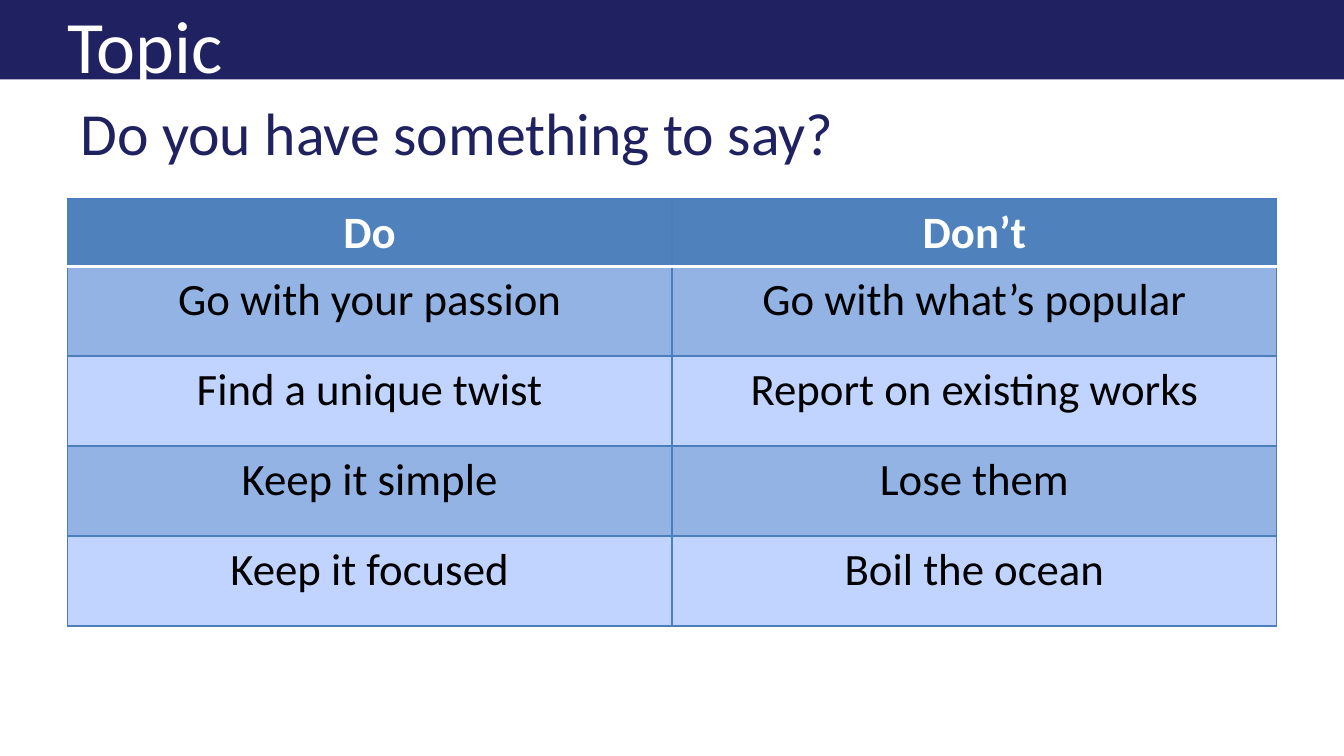
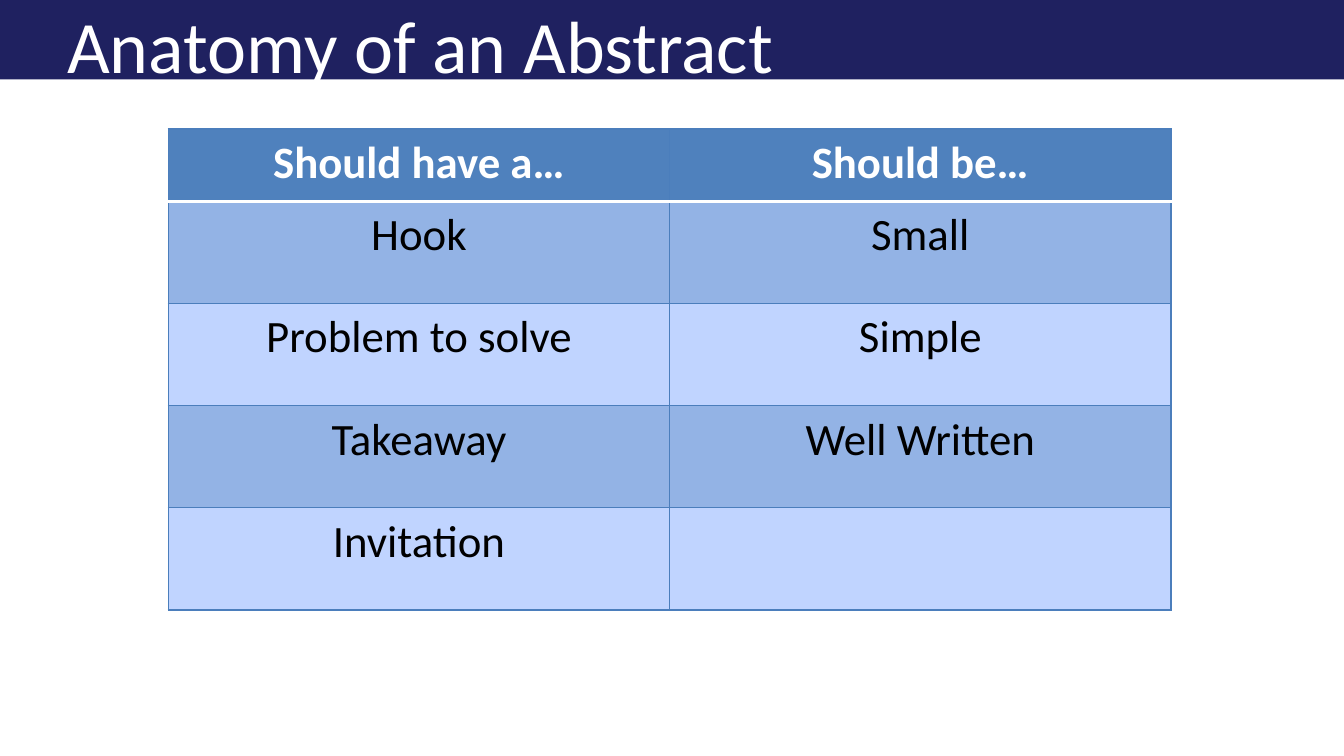
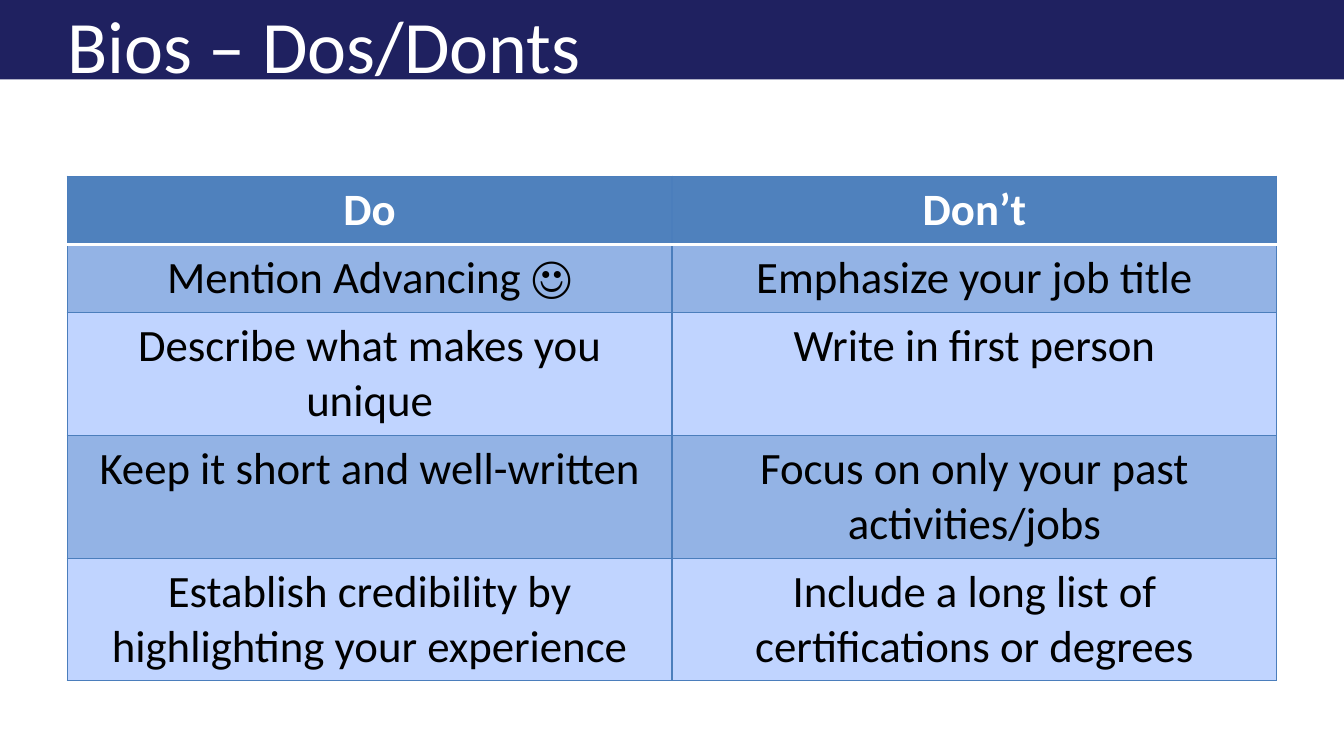
from lxml import etree
from pptx import Presentation
from pptx.dml.color import RGBColor
from pptx.enum import shapes, text
from pptx.oxml.ns import qn
from pptx.util import Cm, Pt

NAVY, WHITE, BLACK = "1F2160", "FFFFFF", "000000"
HEADER, DARK_ROW, LIGHT_ROW, RULE = "4F81BD", "93B3E5", "C0D4FF", "4B7EBC"
FONT = "Calibri"
WIDTH, HEIGHT, BAND_HEIGHT, MARGIN = 25.4, 14.29, 1.5, 1.27

TITLE = {"size": Pt(39.6), "name": FONT}
SUBTITLE = {"size": Pt(32), "name": FONT}
HEAD = {"size": Pt(24), "name": FONT, "bold": True}
BODY = {"size": Pt(24), "name": FONT, "bold": False}

# "box" is left, top and width; "heights" has one value per row. All in cm.
SLIDES = [
    {"title": "Topic",
     "subtitle": "Do you have something to say?",
     "box": (1.27, 3.76, 22.86),
     "heights": [1.25] + [1.7] * 4,
     "rows": [("Do", "Don’t"),
              ("Go with your passion", "Go with what’s popular"),
              ("Find a unique twist", "Report on existing works"),
              ("Keep it simple", "Lose them"),
              ("Keep it focused", "Boil the ocean")]},
    {"title": "Anatomy of an Abstract",
     "box": (3.18, 2.44, 18.95),
     "heights": [1.37] + [1.93] * 4,
     "rows": [("Should have a…", "Should be…"),
              ("Hook", "Small"),
              ("Problem to solve", "Simple"),
              ("Takeaway", "Well Written"),
              ("Invitation", "")]},
    {"title": "Bios – Dos/Donts",
     "box": (1.27, 3.33, 22.86),
     "heights": [1.29] * 2 + [2.32] * 3,
     "rows": [("Do", "Don’t"),
              ("Mention Advancing ☺", "Emphasize your job title"),
              ("Describe what makes you unique", "Write in first person"),
              ("Keep it short and well-written",
               "Focus on only your past activities/jobs"),
              ("Establish credibility by highlighting your experience",
               "Include a long list of certifications or degrees")]},
]


def rgb(value):
    return RGBColor.from_string(value)


def write(tf, words, style, color, align=text.PP_ALIGN.LEFT):
    p = tf.paragraphs[0]
    p.alignment = align
    if not words:
        return
    r = p.add_run()
    r.text = words
    for key, value in style.items():
        setattr(r.font, key, value)
    r.font.color.rgb = rgb(color)


def add_title(slide, words):
    sp = slide.shapes.add_shape(shapes.MSO_SHAPE.RECTANGLE, 0, 0,
                                Cm(WIDTH), Cm(BAND_HEIGHT))
    sp.shadow.inherit = False
    sp.fill.solid()
    sp.fill.fore_color.rgb = rgb(NAVY)
    sp.line.fill.background()
    tf = sp.text_frame
    tf.word_wrap = True
    tf.vertical_anchor = text.MSO_ANCHOR.TOP
    tf.margin_left = Cm(MARGIN)
    tf.margin_top = tf.margin_bottom = 0
    write(tf, words, TITLE, WHITE)


def add_subtitle(slide, words):
    sp = slide.shapes.add_textbox(Cm(MARGIN), Cm(1.68),
                                  Cm(WIDTH - 2 * MARGIN), Cm(9.7))
    sp.text_frame.word_wrap = True
    write(sp.text_frame, words, SUBTITLE, NAVY)


def add_border(cell, side, color, width):
    """Draw one side of a cell: L, R, T or B."""
    ln = etree.SubElement(cell._tc.get_or_add_tcPr(), qn(f"a:ln{side}"),
                          w=str(Pt(width)))
    fill = etree.SubElement(ln, qn("a:solidFill"))
    etree.SubElement(fill, qn("a:srgbClr"), val=color)


def style_cell(cell, row):
    for side in "LRTB":
        under_header = (row, side) in ((0, "B"), (1, "T"))
        add_border(cell, side, *((WHITE, 2) if under_header else (RULE, 0.75)))
    cell.fill.solid()
    fill = HEADER if row == 0 else DARK_ROW if row % 2 else LIGHT_ROW
    cell.fill.fore_color.rgb = rgb(fill)


def add_grid(slide, box, heights, rows):
    left, top, width = box
    columns = len(rows[0])
    table = slide.shapes.add_table(len(rows), columns, Cm(left), Cm(top),
                                   Cm(width), Cm(sum(heights))).table
    for column in table.columns:
        column.width = Cm(width / columns)
    for i, (height, words) in enumerate(zip(heights, rows)):
        table.rows[i].height = Cm(height)
        style, color = (BODY, BLACK) if i else (HEAD, WHITE)
        for j, word in enumerate(words):
            cell = table.cell(i, j)
            style_cell(cell, i)
            write(cell.text_frame, word, style, color, text.PP_ALIGN.CENTER)


def main():
    prs = Presentation()
    prs.slide_width, prs.slide_height = Cm(WIDTH), Cm(HEIGHT)
    for content in SLIDES:
        slide = prs.slides.add_slide(prs.slide_layouts[6])
        add_title(slide, content["title"])
        if "subtitle" in content:
            add_subtitle(slide, content["subtitle"])
        add_grid(slide, content["box"], content["heights"], content["rows"])
    prs.save("out.pptx")


if __name__ == "__main__":
    main()
